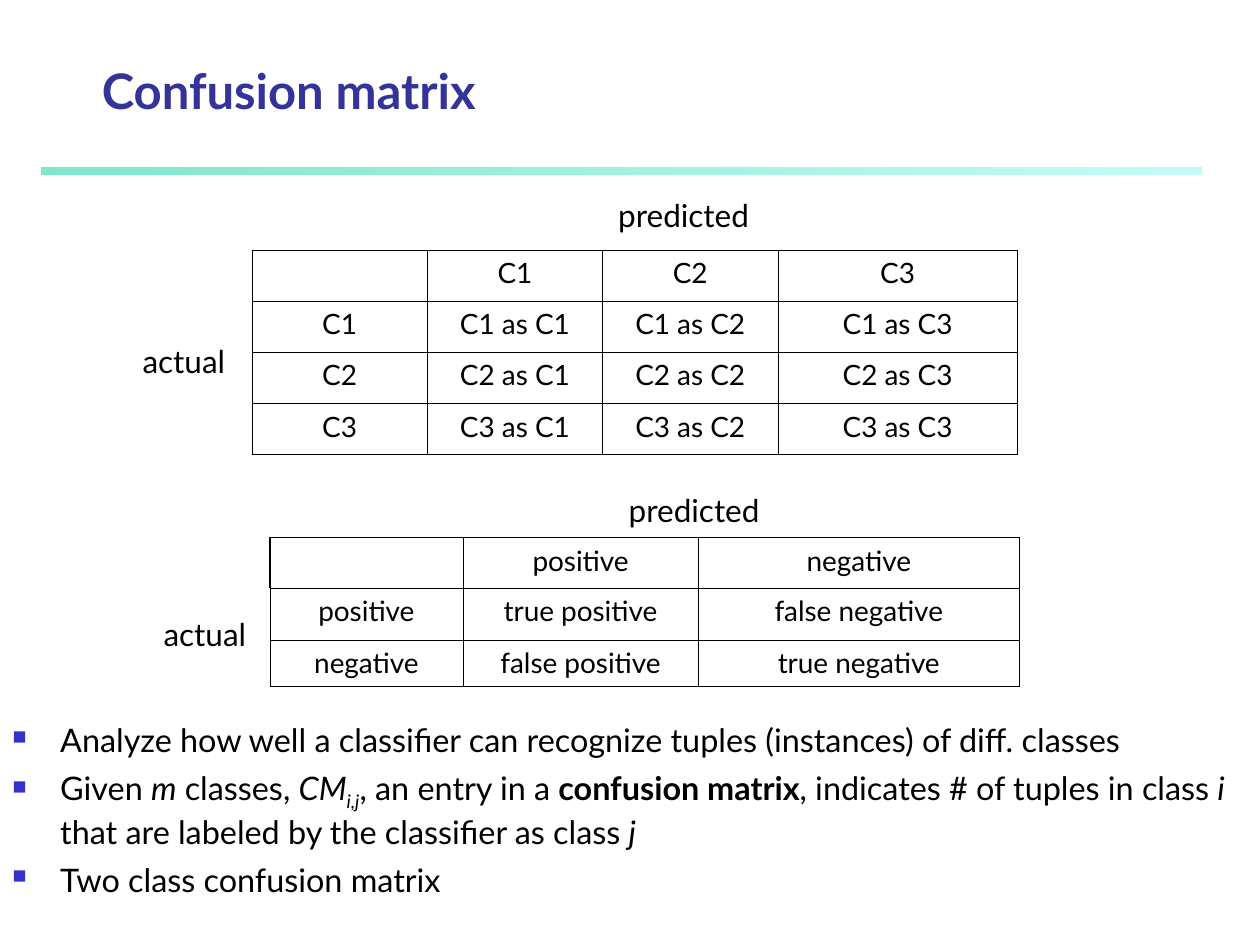
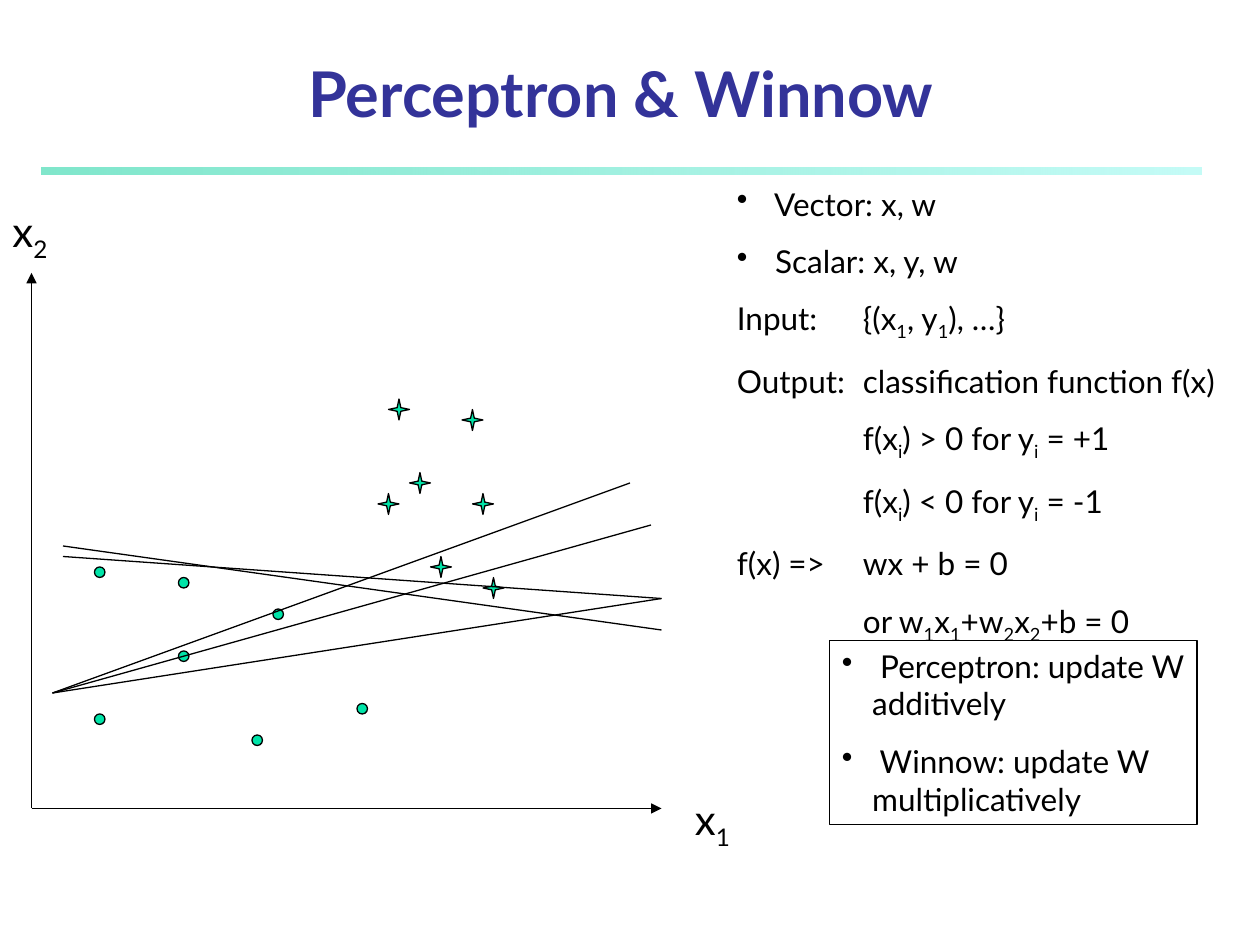
import pptx
import pptx.util
import pptx.dml.color
import pptx.enum.shapes
import pptx.enum.text
import pptx.oxml.ns
from lxml import etree

RGB = pptx.dml.color.RGBColor
NAVY = RGB(0x33, 0x33, 0x99)
BLUE = RGB(0x33, 0x33, 0xCC)
BLACK = RGB(0, 0, 0)
MINT = RGB(0x00, 0xE4, 0xA8)
TEAL = RGB(0x00, 0xCE, 0x98)
AQUA = RGB(0x8F, 0xF9, 0xEF)
FACE = "Lato"
WIDE, TALL = pptx.util.Inches(10), pptx.util.Inches(7.5)
COLS = 120
THIN, FINE, BOLD = 0.75, 0.45, 1.08
FORM = pptx.enum.shapes.MSO_SHAPE
ALIGN = pptx.enum.text.PP_ALIGN
ANCHOR = pptx.enum.text.MSO_ANCHOR


def grid(*nums):
    """Turn counts of grid squares into lengths."""
    return [pptx.util.Emu(round(n * WIDE / COLS)) for n in nums]


def node(root, tag, **attrs):
    """Add a drawing element under a root and return it."""
    return etree.SubElement(root, pptx.oxml.ns.qn("a:" + tag), attrs)


def bullet(para, mark, color, share, dent):
    """Give a paragraph a hanging bullet."""
    props = para._p.get_or_add_pPr()
    props.set("marL", str(dent))
    props.set("indent", str(-dent))
    node(node(props, "buClr"), "srgbClr", val=str(color))
    node(props, "buSzPct", val=str(share * 1000))
    node(props, "buChar", char=mark)


def tab(para, place):
    """Set one left tab stop."""
    stops = node(para._p.get_or_add_pPr(), "tabLst")
    node(stops, "tab", pos=str(place), algn="l")


def style(para, size, color=BLACK, bold=None):
    """Set the font of a whole paragraph."""
    font = para.font
    font.name, font.size, font.bold = FACE, pptx.util.Pt(size), bold
    font.color.rgb = color


def runs(para, text):
    """Add runs split at bars: / is italic, ! is bold, _ is subscript."""
    for part in text.split("|"):
        words = part.lstrip("/!_")
        flags = part[:len(part) - len(words)]
        run = para.add_run()
        run.text = words
        if "/" in flags:
            run.font.italic = True
        if "!" in flags:
            run.font.bold = True
        if "_" in flags:
            run._r.get_or_add_rPr().set("baseline", "-25000")


def write(frame, lines, size, gap=0, mark=None, stop=None, align=ALIGN.LEFT,
          color=BLACK, bold=None):
    """Fill a text frame; mark gives the bullet of a line or None."""
    frame.word_wrap = True
    for i, line in enumerate(lines):
        para = frame.paragraphs[0] if i == 0 else frame.add_paragraph()
        para.alignment = align
        if i and gap:
            para.space_before = pptx.util.Pt(gap)
        look = mark(i) if mark else None
        if look:
            bullet(para, *look)
        if stop:
            tab(para, stop)
        style(para, size, color, bold)
        runs(para, line)


def text(slide, box, lines, size, **more):
    """Place a text box on the grid."""
    frame = slide.shapes.add_textbox(*grid(*box)).text_frame
    write(frame, lines, size, **more)
    return frame


def head(slide, box, title, size):
    """Draw the title and the shaded rule below it."""
    frame = text(slide, box, [title], size, align=ALIGN.CENTER,
                 color=NAVY, bold=True)
    frame.vertical_anchor = ANCHOR.BOTTOM
    rule = slide.shapes.add_shape(FORM.RECTANGLE, *grid(4, 16, 110.4, 0.6))
    rule.shadow.inherit = False
    rule.line.fill.background()
    rule.fill.gradient()
    rule.fill.gradient_angle = 0
    for stop, color in zip(rule.fill.gradient_stops, (TEAL, AQUA)):
        stop.color.rgb = color
    for tint, alpha in zip(rule._element.spPr.iter(pptx.oxml.ns.qn("a:srgbClr")),
                           ("50000", "52000")):
        node(tint, "alpha", val=alpha)


def border(cell, sides):
    """Draw the borders of a cell from widths by side."""
    props = cell._tc.get_or_add_tcPr()
    for i, (side, width) in enumerate(sides.items()):
        line = node(props, "ln" + side, w=str(pptx.util.Pt(width)))
        node(node(line, "solidFill"), "srgbClr", val=str(BLACK))
        props.insert(i, line)


def matrix(slide, left, top, cols, rows, data, over, beside, edge=FINE):
    """Draw a confusion table with its two axis labels."""
    shape = slide.shapes.add_table(len(rows), len(cols),
                                   *grid(left, top, sum(cols), sum(rows)))
    table = shape.table
    table.first_row = table.horz_banding = False
    for col, width in zip(table.columns, grid(*cols)):
        col.width = width
    for row, height in zip(table.rows, grid(*rows)):
        row.height = height
    for r, line in enumerate(data):
        for c, words in enumerate(line):
            cell = table.cell(r, c)
            cell.fill.background()
            outer = edge if r == c == 0 else FINE
            border(cell, {"L": outer, "R": FINE, "T": outer, "B": FINE})
            if words:
                write(cell.text_frame, [words], 16, align=ALIGN.CENTER)
    for words, (x, y), width in (("predicted", over, 15.8),
                                 ("actual", beside, 11)):
        text(slide, (left + x, top + y, width, 4.8), [words], 18)


def stroke(slide, start, end, arrow=False):
    """Draw a thin line, with an arrowhead at its end if asked."""
    kind = pptx.enum.shapes.MSO_CONNECTOR.STRAIGHT
    line = slide.shapes.add_connector(kind, *grid(*start, *end))
    line.line.color.rgb = BLACK
    line.line.width = pptx.util.Pt(THIN)
    if arrow:
        node(line.line._get_or_add_ln(), "tailEnd", type="triangle")
    node(line._element.spPr, "effectLst")


def points(slide, form, size, spots):
    """Draw one class of data points."""
    for x, y in spots:
        dot = slide.shapes.add_shape(form, *grid(x, y, size, size))
        dot.shadow.inherit = False
        dot.fill.solid()
        dot.fill.fore_color.rgb = MINT
        dot.line.color.rgb = BLACK
        dot.line.width = pptx.util.Pt(THIN)
        if form == FORM.STAR_4_POINT:
            dot.adjustments[0] = 0.125


def plot(slide, left, top, width, height):
    """Draw axes, two classes of points and the candidate borders."""
    def at(x, y):
        """Shift a spot into the plot."""
        return left + x, top + y

    zero = at(0, height)
    stroke(slide, zero, at(width, height), True)
    stroke(slide, zero, at(0, 0), True)
    for label, spot in (("x|_1", (width + 2, height - 2)), ("x|_2", (-3, -7))):
        text(slide, (*at(*spot), 10, 6.7), [label], 24)
    dots = (6, 28), (6, 42), (14, 29), (21, 44), (14, 36), (23, 32), (31, 41)
    stars = (36, 19), (42, 21), (38, 27), (34, 12), (33, 21), (43, 29), (41, 13)
    points(slide, FORM.OVAL, 1, [at(*spot) for spot in dots])
    points(slide, FORM.STAR_4_POINT, 2, [at(*spot) for spot in stars])
    fan, tip = (2, 40), (width, 31)
    for start, end in ((fan, (57, 20)), (fan, (59, 24)), (fan, tip),
                       (tip, (3, 27)), ((3, 26), (width, 34))):
        stroke(slide, at(*start), at(*end))


def rules(slide, box):
    """Draw the framed box of update rules."""
    shape = slide.shapes.add_shape(FORM.RECTANGLE, *grid(*box))
    shape.shadow.inherit = False
    shape.fill.background()
    shape.line.color.rgb = BLACK
    shape.line.width = pptx.util.Pt(THIN)
    shape.text_frame.vertical_anchor = ANCHOR.TOP
    write(shape.text_frame, [" Perceptron: update W additively",
                             " Winnow: update W multiplicatively"], 18,
          gap=11.2, mark=lambda i: round_mark())


def round_mark():
    """Give the look of a round bullet."""
    return "•", BLACK, 100, pptx.util.Inches(0.24)


def confuse(slide):
    """Build the slide on confusion matrices."""
    head(slide, (6, 5, 43, 7), "Confusion matrix", 28)
    names = ["C1", "C2", "C3"]
    three = [["", *names]]
    three += [[a, *(f"{a} as {b}" for b in names)] for a in names]
    two = [["", "positive", "negative"],
           ["positive", "true positive", "false negative"],
           ["negative", "false positive", "true negative"]]
    matrix(slide, 24, 23.8, [16.7] * 3 + [22.8], [4.87] * 4, three,
           (33.7, -5.7), (-11.6, 8.2))
    matrix(slide, 25.7, 51.2, [18.4, 22.4, 30.6], [4.8, 4.95, 4.4], two,
           (33, -5), (-11.3, 6.8), BOLD)
    text(slide, (0, 68, COLS, 21), [
        "Analyze how well a classifier can recognize tuples (instances) "
        "of diff. classes",
        "Given |/m| classes, |/CM|/_i,j|, an entry in a |!confusion matrix"
        "|, indicates # of tuples in class |/i| that are labeled by the "
        "classifier as class |/j",
        "Two class confusion matrix"], 18.5, gap=5,
        mark=lambda i: ("■", BLUE, 60, pptx.util.Inches(0.38)))


def learn(slide):
    """Build the slide on linear learners."""
    head(slide, (4, 5, 110.3, 8), "Perceptron & Winnow", 36)
    text(slide, (69, 17, 51, 50.6), [
        " Vector: x, w",
        " Scalar: x, y, w",
        "Input:\t{(x|_1|, y|_1|), …}",
        "Output:\tclassification function f(x)",
        "\tf(x|_i|) > 0 for y|_i| = +1",
        "\tf(x|_i|) < 0 for y|_i| = -1",
        "f(x) =>\twx + b = 0",
        "\tor w|_1|x|_1|+w|_2|x|_2|+b = 0"], 18, gap=11.2,
        mark=lambda i: round_mark() if i < 2 else None,
        stop=pptx.util.Inches(1))
    plot(slide, 3, 26, 60, 51)
    rules(slide, (79, 61, 35, 17.5))


def main():
    """Build and save the deck."""
    deck = pptx.Presentation()
    deck.slide_width, deck.slide_height = WIDE, TALL
    for build in (confuse, learn):
        build(deck.slides.add_slide(deck.slide_layouts[6]))
    deck.save("out.pptx")


if __name__ == "__main__":
    main()
